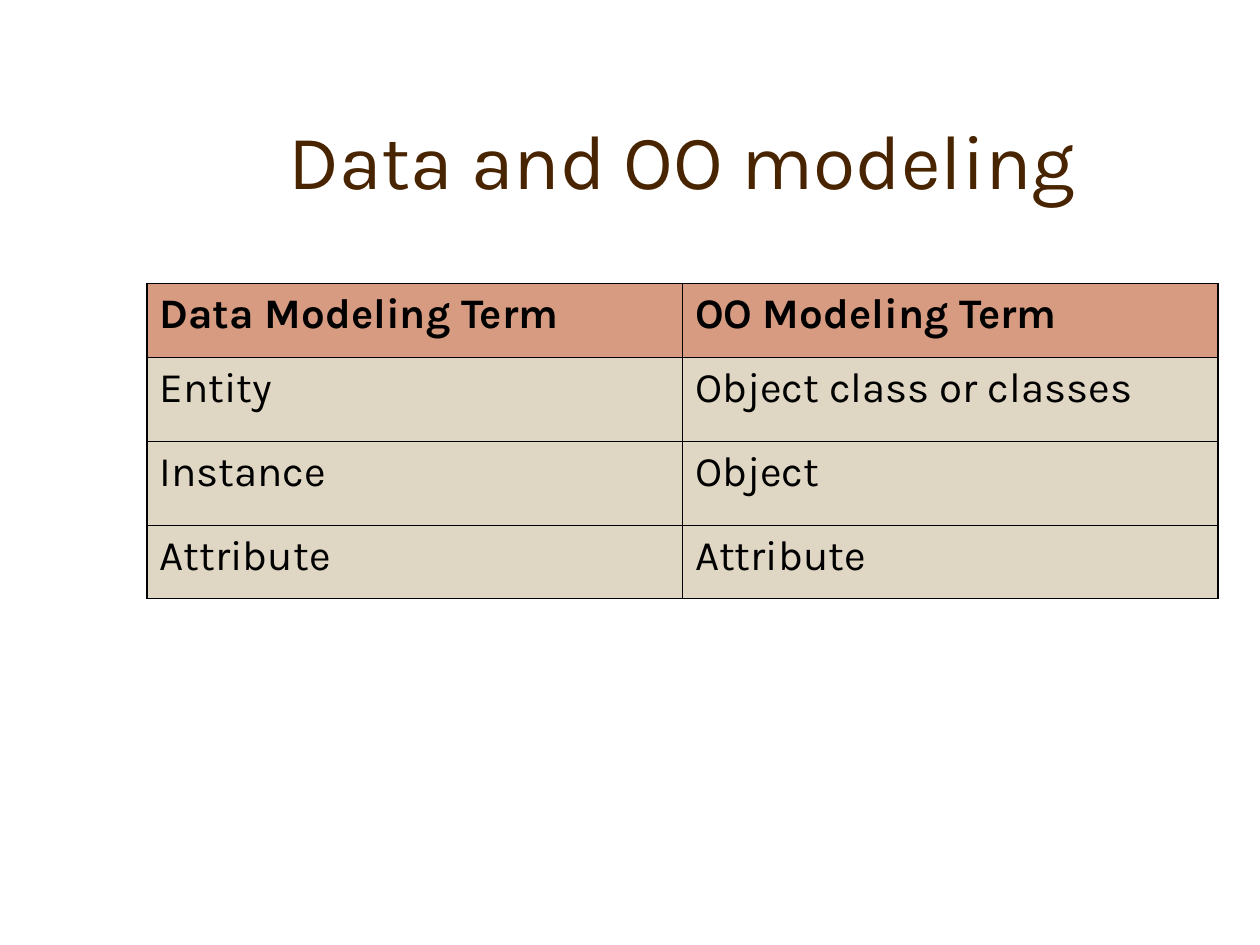
from dataclasses import dataclass

from lxml.etree import SubElement
from pptx import Presentation
from pptx.dml.color import RGBColor
from pptx.enum.text import MSO_ANCHOR, MSO_AUTO_SIZE, PP_ALIGN
from pptx.oxml.ns import qn
from pptx.table import Table, _Cell
from pptx.text.text import TextFrame
from pptx.util import Emu, Inches, Pt

SCALE = 914400 / 126
FONT = "Karla"
COLORS = {
    "title": "482400",
    "text": "000000",
    "line": "000000",
    "head": "D69B80",
    "body": "DFD6C3",
}
THIN, THICK = 0.45, 1.08
LEFT, WIDTH = 147, 1071


@dataclass
class Row:
    data: str
    object: str
    height: int
    head: bool = False


ROWS = [
    Row("Data Modeling Term", "OO Modeling Term", 74, head=True),
    Row("Entity", "Object class or classes", 84),
    Row("Instance", "Object", 84),
    Row("Attribute", "Attribute", 73),
]


def px(value: float) -> Emu:
    return Emu(round(value * SCALE))


def color(name: str) -> RGBColor:
    return RGBColor.from_string(COLORS[name])


def write(frame: TextFrame, text: str, *, size: float, tint: str = "text",
          bold: bool = False, align: PP_ALIGN = PP_ALIGN.LEFT,
          before: float = 0) -> None:
    para = frame.paragraphs[0]
    para.alignment = align
    para.space_before = Pt(before)
    run = para.add_run()
    run.text = text
    run.font.name = FONT
    run.font.size = Pt(size)
    run.font.bold = bold
    run.font.color.rgb = color(tint)


def border(cell: _Cell, widths: dict[str, float]) -> None:
    props = cell._tc.get_or_add_tcPr()
    for index, (side, width) in enumerate(widths.items()):
        line = SubElement(props, qn(f"a:ln{side}"), w=str(Pt(width)))
        fill = SubElement(line, qn("a:solidFill"))
        SubElement(fill, qn("a:srgbClr"), val=COLORS["line"])
        props.insert(index, line)


def fill_row(table: Table, index: int, row: Row) -> None:
    table.rows[index].height = px(row.height)
    for col, text in enumerate((row.data, row.object)):
        cell = table.cell(index, col)
        cell.fill.solid()
        cell.fill.fore_color.rgb = color("head" if row.head else "body")
        write(cell.text_frame, text, size=24, bold=row.head, before=6)
        outer = {
            "L": col == 0,
            "R": col == 1,
            "T": index == 0,
            "B": index == len(ROWS) - 1,
        }
        border(cell, {side: THICK if edge else THIN
                      for side, edge in outer.items()})


deck = Presentation()
deck.slide_width, deck.slide_height = Inches(10), Inches(7.5)
slide = deck.slides.add_slide(deck.slide_layouts[5])

title = slide.shapes.title
title.left, title.top = px(LEFT), px(53)
title.width, title.height = px(WIDTH), px(158)
title.text_frame.auto_size = MSO_AUTO_SIZE.NONE
title.text_frame.vertical_anchor = MSO_ANCHOR.BOTTOM
write(title.text_frame, "Data and OO modeling", size=44, tint="title",
      align=PP_ALIGN.CENTER)

height = sum(row.height for row in ROWS)
terms = slide.shapes.add_table(len(ROWS), 2, px(LEFT), px(283.5),
                               px(WIDTH), px(height)).table
terms.horz_banding = False
for index, row in enumerate(ROWS):
    fill_row(terms, index, row)

deck.save("out.pptx")
